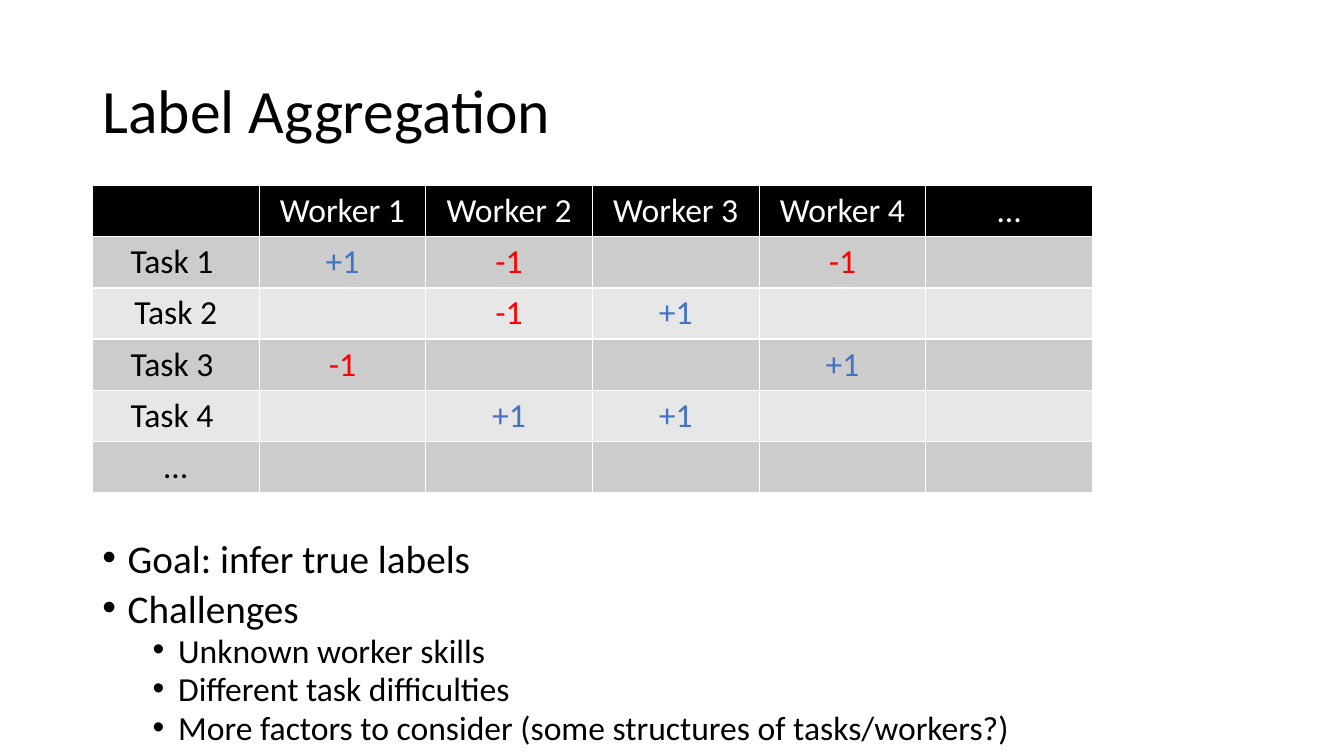
import pptx
import pptx.dml.color
import pptx.enum.text
import pptx.oxml.ns
import pptx.util
from lxml import etree
from pptx.util import Cm

FONT = "Calibri"
BLACK, WHITE, BLUE, RED = "000000", "FFFFFF", "4472C4", "FF0000"
BANDS = ("E7E7E7", "CCCCCC")
LABEL_COLORS = {"+1": BLUE, "-1": RED}
ALIGN = pptx.enum.text.PP_ALIGN
LEFT, CONTENT_WIDTH = Cm(2.33), Cm(29.21)

LABELS = [
    ["", "Worker 1", "Worker 2", "Worker 3", "Worker 4", "…"],
    ["Task 1 ", "+1", "-1", "", "-1", ""],
    ["Task 2", "", "-1", "+1", "", ""],
    ["Task 3 ", "-1", "", "", "+1", ""],
    ["Task 4 ", "", "+1", "+1", "", ""],
    ["…", "", "", "", "", ""],
]
POINTS = [
    ("Goal: infer true labels", 0),
    ("Challenges", 0),
    ("Unknown worker skills", 1),
    ("Different task difficulties", 1),
    ("More factors to consider (some structures of tasks/workers?)", 1),
]


def rgb(color):
    return pptx.dml.color.RGBColor.from_string(color)


def write(paragraph, text, size=24, color=BLACK, align=ALIGN.LEFT, line_spacing=None, before=0):
    paragraph.alignment = align
    paragraph.line_spacing = line_spacing
    paragraph.space_before = pptx.util.Pt(before)
    run = paragraph.add_run()
    run.text = text
    run.font.name = FONT
    run.font.size = pptx.util.Pt(size)
    run.font.bold = False
    run.font.color.rgb = rgb(color)


def add_bullet(paragraph, margin, hanging):
    properties = paragraph._p.get_or_add_pPr()
    properties.set("marL", str(margin))
    properties.set("indent", str(-hanging))
    for tag, attribute, value in (("a:buFont", "typeface", "Arial"), ("a:buChar", "char", "•")):
        etree.SubElement(properties, pptx.oxml.ns.qn(tag)).set(attribute, value)


def set_title(slide, text):
    title = slide.shapes.title
    title.left, title.top, title.width, title.height = LEFT, Cm(1.01), CONTENT_WIDTH, Cm(3.68)
    title.text_frame.vertical_anchor = pptx.enum.text.MSO_ANCHOR.MIDDLE
    write(title.text_frame.paragraphs[0], text, size=44, line_spacing=0.9)


def add_label_table(slide, rows):
    table = slide.shapes.add_table(
        len(rows), len(rows[0]), LEFT, Cm(4.68), Cm(4.2) * len(rows[0]), Cm(1.28) * len(rows)
    ).table
    for row_index, row in enumerate(rows):
        for column_index, text in enumerate(row):
            cell = table.cell(row_index, column_index)
            cell.fill.solid()
            cell.fill.fore_color.rgb = rgb(BANDS[row_index % 2] if row_index else BLACK)
            if text:
                color = LABEL_COLORS.get(text, BLACK) if row_index else WHITE
                write(cell.text_frame.paragraphs[0], text, color=color, align=ALIGN.CENTER)


def add_bullets(slide, points):
    frame = slide.shapes.add_textbox(LEFT, Cm(13.56), CONTENT_WIDTH, Cm(5.49)).text_frame
    frame.word_wrap = True
    for index, (text, level) in enumerate(points):
        paragraph = frame.add_paragraph() if index else frame.paragraphs[0]
        paragraph.level = level
        add_bullet(paragraph, Cm(0.64) + level * Cm(1.27), Cm(0.64))
        before = (9, 4.5)[level] if index else 0
        write(paragraph, text, size=(28, 24)[level], line_spacing=0.8, before=before)


def main():
    presentation = pptx.Presentation()
    presentation.slide_width, presentation.slide_height = Cm(33.87), Cm(19.05)
    slide = presentation.slides.add_slide(presentation.slide_layouts[5])
    set_title(slide, "Label Aggregation")
    add_label_table(slide, LABELS)
    add_bullets(slide, POINTS)
    presentation.save("out.pptx")


if __name__ == "__main__":
    main()
